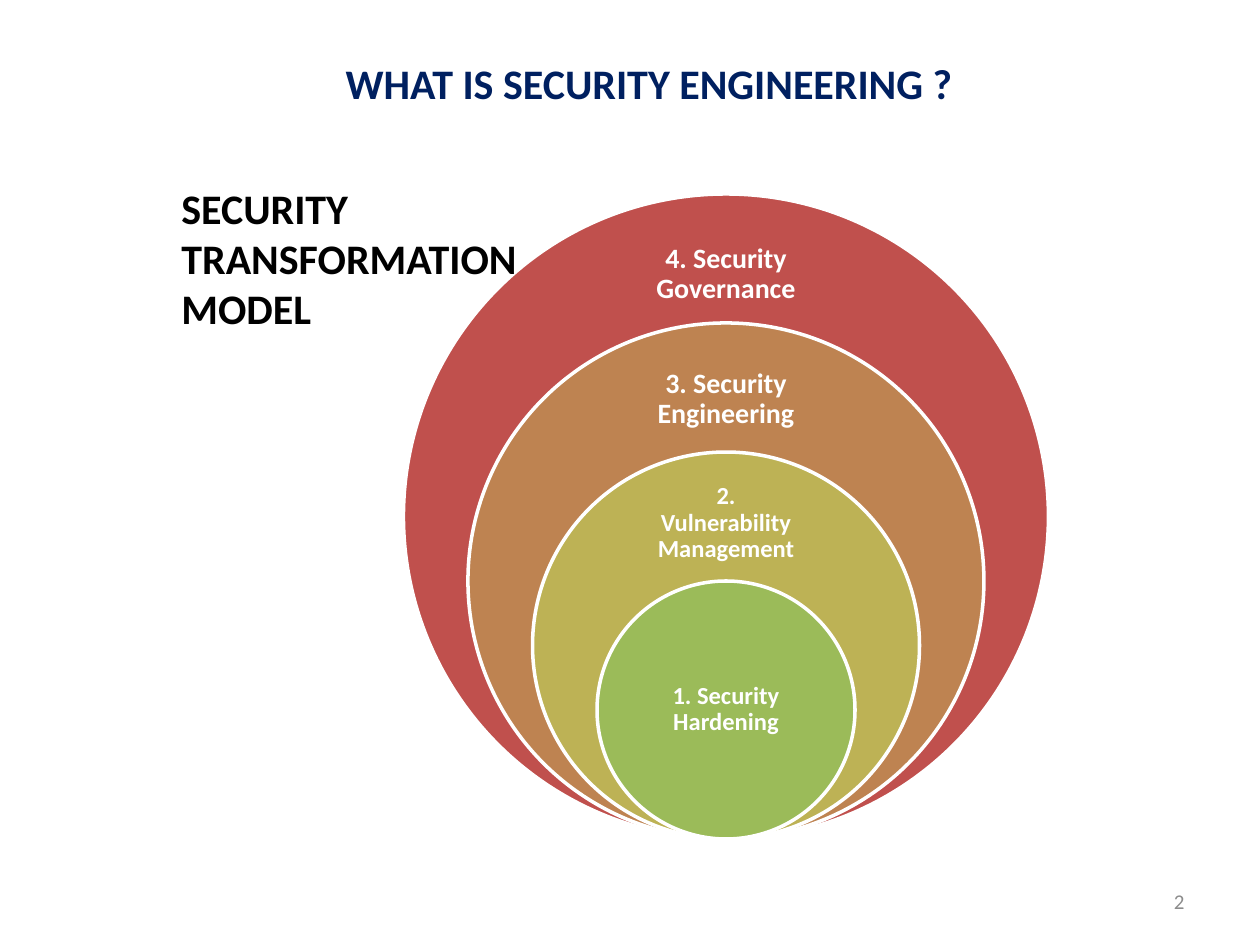
from dataclasses import dataclass

from pptx import Presentation
from pptx.dml.color import RGBColor
from pptx.enum.shapes import MSO_SHAPE
from pptx.enum.text import MSO_ANCHOR, MSO_AUTO_SIZE, PP_ALIGN
from pptx.util import Emu, Pt

OVAL = MSO_SHAPE.OVAL
TOP, MIDDLE = MSO_ANCHOR.TOP, MSO_ANCHOR.MIDDLE
LEFT, CENTER, RIGHT = PP_ALIGN.LEFT, PP_ALIGN.CENTER, PP_ALIGN.RIGHT
GROW = MSO_AUTO_SIZE.SHAPE_TO_FIT_TEXT
SCALE = 914400 / 126


@dataclass(frozen=True)
class Theme:
    """Hold the colours and type sizes of the slide."""
    font: str = "Calibri"
    navy: str = "002060"
    black: str = "000000"
    white: str = "FFFFFF"
    gray: str = "8C8C8C"
    head: int = 24
    large: int = 16
    small: int = 14
    note: int = 12


THEME = Theme()
AXIS, BASE, STEP = 726, 839, 129
RINGS = [
    ("4. Security Governance", "C0504D", THEME.large, 226, 97, 15),
    ("3. Security Engineering", "BE8351", THEME.large, 353, 93, 15),
    ("2. Vulnerability Management", "BDB255", THEME.small, 480, 87, 14),
    ("1. Security Hardening", "9BBB59", THEME.small, 645, 129, 14),
]


def px(*vals):
    """Turn px lengths into EMU."""
    return [Emu(round(val * SCALE)) for val in vals]


def write(shape, text, size, color, bold=True, align=LEFT, anchor=MIDDLE,
          wrap=True, inset=None, lead=None):
    """Fill a shape with formatted text, one paragraph per line."""
    frame = shape.text_frame
    frame.text = text
    frame.word_wrap = wrap
    frame.vertical_anchor = anchor
    if inset is not None:
        pad, = px(inset)
        frame.margin_left = frame.margin_right = pad
        frame.margin_top = frame.margin_bottom = pad
    for para in frame.paragraphs:
        para.alignment = align
        para.line_spacing = lead
        font = para.font
        font.name, font.size, font.bold = THEME.font, Pt(size), bold
        font.color.rgb = RGBColor.from_string(color)
    return frame


def label(host, box, text, **form):
    """Add a text box."""
    return write(host.add_textbox(*px(*box)), text, **form)


def ring(host, size, fill):
    """Add a circle that rests on the common base."""
    box = px(AXIS - size / 2, BASE - size, size, size)
    shape = host.add_shape(OVAL, *box)
    shape.shadow.inherit = False
    shape.fill.solid()
    shape.fill.fore_color.rgb = RGBColor.from_string(fill)
    shape.line.color.rgb = RGBColor.from_string(THEME.white)
    shape.line.width = Pt(2)


def model(slide):
    """Draw the nested rings with their labels."""
    host = slide.shapes.add_group_shape().shapes
    for rank, (text, fill, size, top, high, pad) in enumerate(RINGS):
        ring(host, STEP * (len(RINGS) + 1 - rank), fill)
        label(host, (AXIS - 90, top, 180, high), text, size=size,
              color=THEME.white, align=CENTER, inset=pad, lead=0.9)


def title(slide, text):
    """Place and fill the title."""
    shape = slide.shapes.title
    shape.left, shape.top, shape.width, shape.height = px(82, 21, 1134, 124)
    write(shape, text, size=THEME.head, color=THEME.navy, align=CENTER)


def main():
    """Build and save the slide."""
    deck = Presentation()
    deck.slide_width, deck.slide_height = px(1260, 945)
    slide = deck.slides.add_slide(deck.slide_layouts[5])
    title(slide, "WHAT IS SECURITY ENGINEERING ?")
    label(slide.shapes, (903, 876, 294, 50), "2", size=THEME.note,
          color=THEME.gray, bold=False, align=RIGHT)
    model(slide)
    frame = label(slide.shapes, (169, 176, 364, 165),
                  "SECURITY\nTRANSFORMATION\nMODEL", size=THEME.head,
                  color=THEME.black, anchor=TOP, wrap=False)
    frame.auto_size = GROW
    deck.save("out.pptx")


if __name__ == "__main__":
    main()
